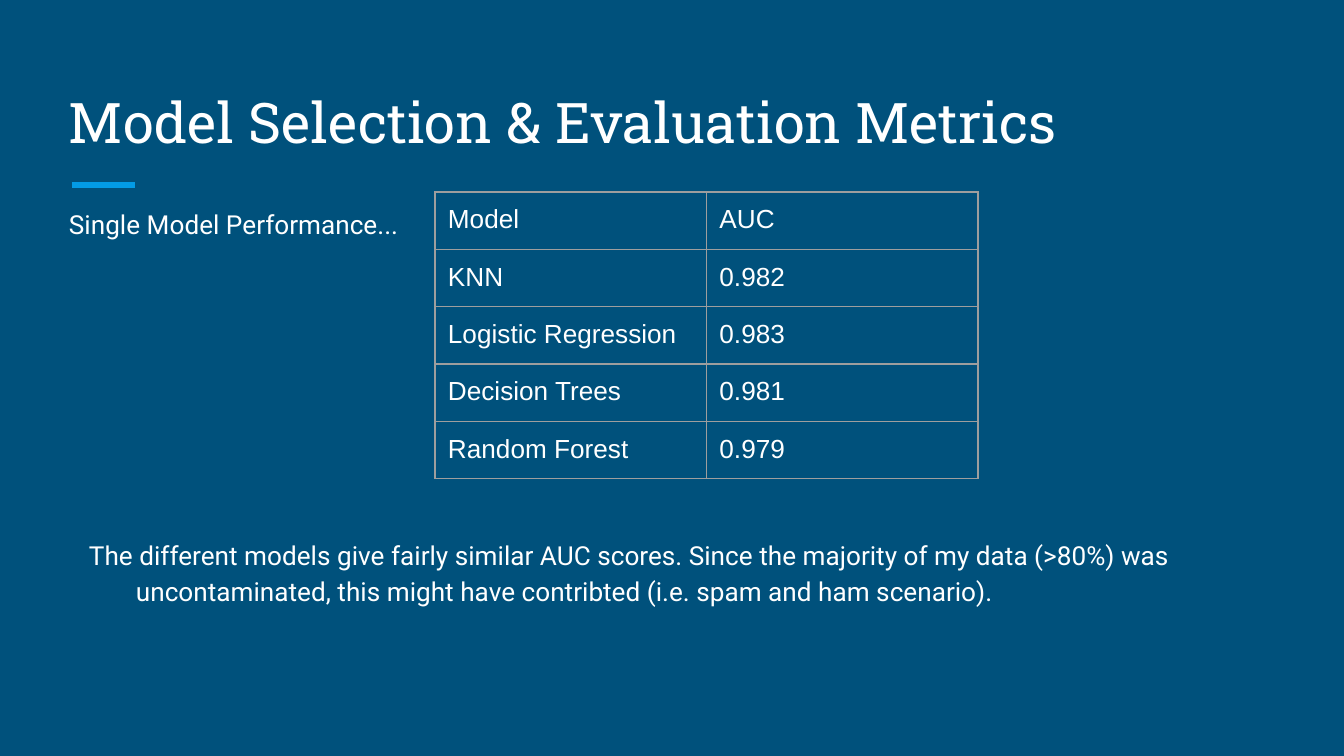
from lxml import etree
from pptx import Presentation
from pptx.dml.color import RGBColor
from pptx.enum.shapes import MSO_CONNECTOR
from pptx.enum.text import MSO_ANCHOR
from pptx.oxml.ns import qn
from pptx.util import Pt

STRAIGHT = MSO_CONNECTOR.STRAIGHT
TOP, BOTTOM = MSO_ANCHOR.TOP, MSO_ANCHOR.BOTTOM
SLIDE_WIDTH, SLIDE_HEIGHT = 1344, 756
EMU_PER_PX = 9144000 / SLIDE_WIDTH
INSET = 13
COLORS = {
    "background": "00517C",
    "text": "FFFFFF",
    "accent": "039BE5",
    "border": "9E9E9E",
}
SCORES = [
    ("Model", "AUC"),
    ("KNN", "0.982"),
    ("Logistic Regression", "0.983"),
    ("Decision Trees", "0.981"),
    ("Random Forest", "0.979"),
]
INTRO = "Single Model Performance..."
FINDING = (
    "The different models give fairly similar AUC scores. Since the majority "
    "of my data (>80%) was uncontaminated, this might have contribted "
    "(i.e. spam and ham scenario)."
)


def px(length):
    return round(length * EMU_PER_PX)


def rgb(name):
    return RGBColor.from_string(COLORS[name])


def write_text(paragraph, text, font="Roboto", size=14, color="text",
               line_spacing=None, before=0, after=0, margin=0, indent=0):
    run = paragraph.add_run()
    run.text = text
    run.font.name = font
    run.font.size = Pt(size)
    run.font.color.rgb = rgb(color)
    paragraph.line_spacing = line_spacing
    paragraph.space_before = Pt(before)
    paragraph.space_after = Pt(after)
    properties = paragraph._p.get_or_add_pPr()
    properties.set("marL", str(px(margin)))
    properties.set("indent", str(px(indent)))


def set_insets(holder):
    holder.margin_left = holder.margin_right = px(INSET)
    holder.margin_top = holder.margin_bottom = px(INSET)


def add_text_frame(slide, left, top, width, height, anchor=TOP):
    box = slide.shapes.add_textbox(px(left), px(top), px(width), px(height))
    frame = box.text_frame
    frame.word_wrap = True
    frame.vertical_anchor = anchor
    set_insets(frame)
    return frame


def add_heading(slide, left, top, width, height):
    frame = add_text_frame(slide, left, top, width, height, anchor=BOTTOM)
    write_text(frame.paragraphs[0], "Model Selection & Evaluation Metrics",
               font="Roboto Slab", size=30)
    rule_left, rule_top = left + 16, top + height + 17
    rule = slide.shapes.add_connector(
        STRAIGHT, px(rule_left), px(rule_top), px(rule_left + 63), px(rule_top))
    rule.line.color.rgb = rgb("accent")
    rule.line.width = Pt(3)
    etree.SubElement(rule._element.spPr, qn("a:effectLst"))


def add_commentary(slide, left, top, width, height):
    frame = add_text_frame(slide, left, top, width, height)
    write_text(frame.paragraphs[0], INTRO, line_spacing=1.15, after=16)
    write_text(frame.add_paragraph(), FINDING, line_spacing=1.15,
               before=142, after=12, margin=67, indent=-47)


def add_borders(cell):
    properties = cell._tc.get_or_add_tcPr()
    for side in ("lnL", "lnR", "lnT", "lnB"):
        border = etree.SubElement(properties, qn(f"a:{side}"), w=str(Pt(0.75)))
        fill = etree.SubElement(border, qn("a:solidFill"))
        etree.SubElement(fill, qn("a:srgbClr"), val=COLORS["border"])


def add_score_table(slide, left, top, width, height):
    row_count, column_count = len(SCORES), len(SCORES[0])
    table = slide.shapes.add_table(
        row_count, column_count,
        px(left), px(top), px(width), px(height)).table
    table.first_row = False
    table.horz_banding = False
    for column in table.columns:
        column.width = px(width / column_count)
    for row, values in zip(table.rows, SCORES):
        row.height = px(height / row_count)
        for cell, value in zip(row.cells, values):
            set_insets(cell)
            add_borders(cell)
            cell.fill.background()
            write_text(cell.text_frame.paragraphs[0], value, font="Arial")


def main():
    presentation = Presentation()
    presentation.slide_width = px(SLIDE_WIDTH)
    presentation.slide_height = px(SLIDE_HEIGHT)
    slide = presentation.slides.add_slide(presentation.slide_layouts[6])
    slide.background.fill.solid()
    slide.background.fill.fore_color.rgb = rgb("background")
    add_heading(slide, 56, 67, 1230, 101)
    add_commentary(slide, 56, 191, 1230, 481)
    add_score_table(slide, 435, 192, 543, 281)
    presentation.save("out.pptx")


if __name__ == "__main__":
    main()
